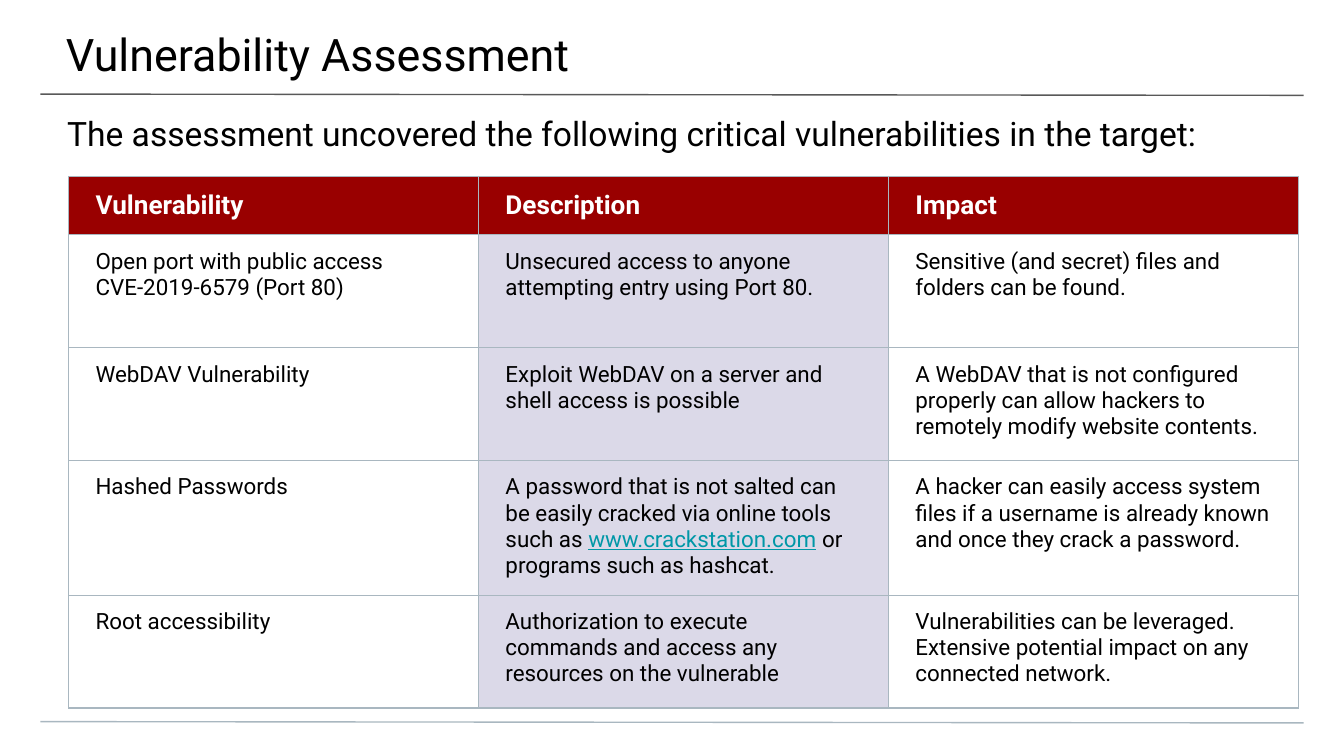
from pptx import Presentation
from pptx.dml.color import RGBColor
from pptx.enum.shapes import MSO_CONNECTOR
from pptx.enum.text import MSO_ANCHOR
from pptx.oxml import parse_xml
from pptx.oxml.ns import nsdecls, qn
from pptx.util import Pt
from lxml.etree import SubElement

TITLE = "Vulnerability Assessment"
SUBTITLE = "The assessment uncovered the following critical vulnerabilities in the target:"
HEADERS = ["Vulnerability", "Description", "Impact"]
LINK = "www.crackstation.com"
ROWS = [
    ["Open port with public access CVE-2019-6579 (Port 80)",
     "Unsecured access to anyone attempting entry using Port 80.",
     "Sensitive (and secret) files and folders can be found."],
    ["WebDAV Vulnerability",
     "Exploit WebDAV on a server and shell access is possible",
     "A WebDAV that is not configured properly can allow hackers to "
     "remotely modify website contents."],
    ["Hashed Passwords",
     ["A password that is not salted can be easily cracked via online tools such as ",
      LINK, " or programs such as hashcat."],
     "A hacker can easily access system files if a username is already known "
     "and once they crack a password."],
    ["Root accessibility",
     "Authorization to execute commands and access any resources on the vulnerable",
     "Vulnerabilities can be leveraged.\nExtensive potential impact on any connected network."],
]

THEME = {
    "font": "Roboto", "title": 24, "subtitle": 18, "header": 14, "body": 12,
    "text": "000000", "white": "FFFFFF", "red": "990000", "lilac": "DBD9E8",
    "link": "0097A7", "rule": "595959", "grid": "A9B7C0", "line": 0.75,
}
COL_W, HEADER_H, ROW_H = 219.6, 31, 60.5


def color(name):
    return RGBColor.from_string(THEME[name])


def add_text(tf, content, size, ink="text", bold=False):
    paragraphs = [content] if isinstance(content, list) else [[t] for t in content.split("\n")]
    for i, runs in enumerate(paragraphs):
        p = tf.add_paragraph() if i else tf.paragraphs[0]
        for text in runs:
            r = p.add_run()
            r.text = text
            r.font.name = THEME["font"]
            r.font.size = Pt(THEME[size])
            r.font.bold = bold
            r.font.underline = text == LINK
            r.font.color.rgb = color("link" if text == LINK else ink)


def add_box(s, text, size, box, insets, anchor):
    tf = s.shapes.add_textbox(*map(Pt, box)).text_frame
    tf.word_wrap = True
    tf.vertical_anchor = anchor
    tf.margin_left, tf.margin_top, tf.margin_right, tf.margin_bottom = map(Pt, insets)
    add_text(tf, text, size)


def add_rule(s, y, ink):
    ln = s.shapes.add_connector(MSO_CONNECTOR.STRAIGHT, Pt(21.6), Pt(y), Pt(698.4), Pt(y + 0.7))
    ln.line.color.rgb = color(ink)
    ln.line.width = Pt(THEME["line"])
    SubElement(ln._element.spPr, qn("a:effectLst"))


def add_borders(cell):
    pr = cell._tc.get_or_add_tcPr()
    for i, side in enumerate(("lnL", "lnR", "lnT", "lnB")):
        pr.insert(i, parse_xml(
            f'<a:{side} {nsdecls("a")} w="{Pt(THEME["line"])}"><a:solidFill>'
            f'<a:srgbClr val="{THEME["grid"]}"/></a:solidFill></a:{side}>'))


def add_grid(s):
    data = [HEADERS] + ROWS
    n = len(HEADERS)
    heights = [HEADER_H] + [ROW_H] * len(ROWS)
    table = s.shapes.add_table(len(data), n, Pt(36.8), Pt(94.6),
                               Pt(COL_W * n), Pt(sum(heights))).table
    table.first_row = table.horz_banding = False
    for col in table.columns:
        col.width = Pt(COL_W)
    for i, (row, height) in enumerate(zip(data, heights)):
        table.rows[i].height = Pt(height)
        for j, content in enumerate(row):
            cell = table.cell(i, j)
            cell.margin_left = cell.margin_right = Pt(14.4)
            cell.margin_top = cell.margin_bottom = Pt(7.2)
            cell.vertical_anchor = MSO_ANCHOR.TOP if i else MSO_ANCHOR.MIDDLE
            if i == 0 or j == 1:
                cell.fill.solid()
                cell.fill.fore_color.rgb = color("lilac" if i else "red")
            else:
                cell.fill.background()
            add_borders(cell)
            if i:
                add_text(cell.text_frame, content, "body")
            else:
                add_text(cell.text_frame, content, "header", "white", True)


def main():
    prs = Presentation()
    prs.slide_width, prs.slide_height = Pt(720), Pt(405)
    s = prs.slides.add_slide(prs.slide_layouts[6])
    s.background.fill.solid()
    s.background.fill.fore_color.rgb = color("white")
    add_rule(s, 50.4, "rule")
    add_rule(s, 386.6, "grid")
    add_box(s, TITLE, "title", (-0.7, 0, 722, 41.8), (36, 14.4, 21.6, 7.2), MSO_ANCHOR.TOP)
    add_box(s, SUBTITLE, "subtitle", (0, 53.3, 720, 28.8), (36, 7.2, 36, 0), MSO_ANCHOR.MIDDLE)
    add_grid(s)
    prs.save("out.pptx")


if __name__ == "__main__":
    main()
